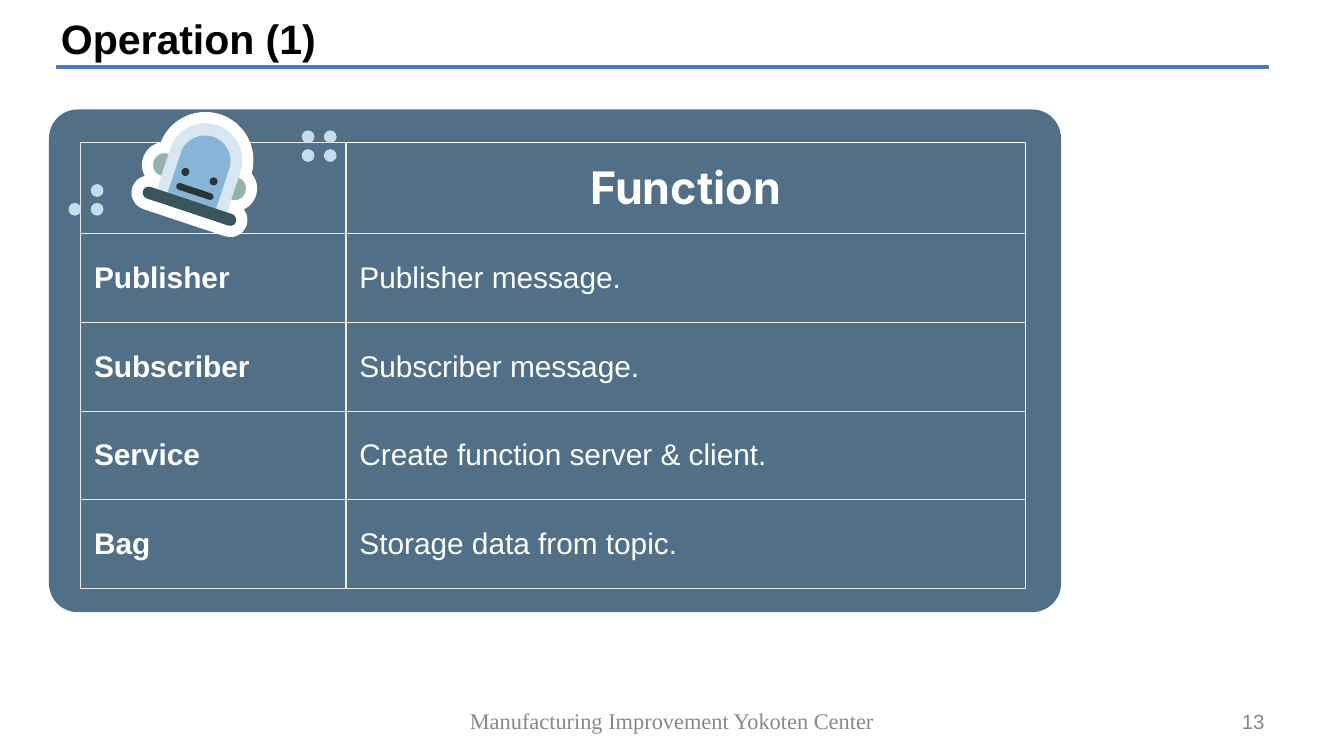
from lxml.etree import SubElement
from pptx import Presentation
from pptx.dml.color import RGBColor
from pptx.enum.shapes import MSO_CONNECTOR, MSO_SHAPE
from pptx.enum.text import MSO_ANCHOR, PP_ALIGN
from pptx.oxml.ns import qn
from pptx.util import Pt

PX = 4572  # 200 px to the inch

WHITE = RGBColor(0xFF, 0xFF, 0xFF)
BLACK = RGBColor(0x00, 0x00, 0x00)
GRAY = RGBColor(0x88, 0x88, 0x88)
RULE_BLUE = RGBColor(0x4A, 0x7D, 0xBA)
PANEL_BLUE = RGBColor(0x51, 0x6F, 0x86)
BORDER = RGBColor(0xEE, 0xEC, 0xE1)
EAR = RGBColor(0x96, 0xB1, 0xB0)
HELMET = RGBColor(0xD8, 0xE6, 0xEF)
FACE = RGBColor(0x86, 0xB5, 0xD8)
INK = RGBColor(0x2B, 0x34, 0x36)
BASE = RGBColor(0x37, 0x55, 0x5A)
DOT = RGBColor(0xC6, 0xDC, 0xEB)

presentation = Presentation()
presentation.slide_width = 2000 * PX
presentation.slide_height = 1125 * PX
slide = presentation.slides.add_slide(presentation.slide_layouts[6])
shapes = slide.shapes


def write(frame, text, size, color, font="Arial", bold=False, align=PP_ALIGN.LEFT):
    frame.word_wrap = True
    paragraph = frame.paragraphs[0]
    paragraph.alignment = align
    run = paragraph.add_run()
    run.text = text
    run.font.name = font
    run.font.size = Pt(size)
    run.font.bold = bold
    run.font.color.rgb = color


def add_filled(kind, box, color, adjustments=(), rotation=0, outline=None):
    """Add a preset shape without shadow; box is left, top, width, height in px."""
    shape = shapes.add_shape(kind, *(length * PX for length in box))
    shape.shadow.inherit = False
    shape.rotation = rotation
    for index, value in enumerate(adjustments):
        shape.adjustments[index] = value
    shape.fill.solid()
    shape.fill.fore_color.rgb = color
    if outline:
        shape.line.color.rgb = color
        shape.line.width = Pt(outline)
    else:
        shape.line.fill.background()


# Title rule
rule = shapes.add_connector(MSO_CONNECTOR.STRAIGHT, 84 * PX, 100 * PX, 1888 * PX, 100 * PX)
rule.line.color.rgb = RULE_BLUE
rule.line.width = Pt(2.25)
SubElement(rule._element.spPr, qn("a:effectLst"))

# Slide number, footer and title
text_boxes = [
    ((1434, 1043, 466, 60), (18, 8), MSO_ANCHOR.MIDDLE, "13",
     dict(size=11, color=GRAY, align=PP_ALIGN.RIGHT)),
    ((615, 1043, 770, 60), (18, 18), MSO_ANCHOR.MIDDLE, "Manufacturing Improvement Yokoten Center",
     dict(size=12, color=GRAY, font="Times New Roman", align=PP_ALIGN.CENTER)),
    ((71, 0, 964, 114), (20, 20), MSO_ANCHOR.TOP, "Operation (1)",
     dict(size=22, color=BLACK, bold=True)),
]
for box, (side, end), anchor, text, text_format in text_boxes:
    frame = shapes.add_textbox(*(length * PX for length in box)).text_frame
    frame.margin_left = frame.margin_right = side * PX
    frame.margin_top = frame.margin_bottom = end * PX
    frame.vertical_anchor = anchor
    write(frame, text, **text_format)

# Panel and function table
add_filled(MSO_SHAPE.ROUNDED_RECTANGLE, (73, 163, 1506, 748), PANEL_BLUE, [0.057])

rows = [
    ("", "Function"),
    ("Publisher", "Publisher message."),
    ("Subscriber", "Subscriber message."),
    ("Service", "Create function server & client."),
    ("Bag", "Storage data from topic."),
]
table = shapes.add_table(len(rows), 2, 120 * PX, 212 * PX, 1406 * PX, 664 * PX).table
table.first_row = table.horz_banding = False
for column, width in zip(table.columns, (395, 1011)):
    column.width = width * PX
for row_index, texts in enumerate(rows):
    table.rows[row_index].height = (132 if row_index else 136) * PX
    for column_index, text in enumerate(texts):
        cell = table.cell(row_index, column_index)
        is_header = row_index == 0
        cell.margin_left = cell.margin_right = 20 * PX
        cell.margin_top = cell.margin_bottom = (14 if column_index and row_index else 20) * PX
        cell.vertical_anchor = MSO_ANCHOR.MIDDLE
        properties = cell._tc.get_or_add_tcPr()
        for side in ("lnL", "lnR", "lnT", "lnB"):
            border = SubElement(properties, qn(f"a:{side}"), w=str(Pt(0.75)))
            white_side = is_header and column_index == 1 and side in ("lnR", "lnT")
            fill = SubElement(border, qn("a:solidFill"))
            SubElement(fill, qn("a:srgbClr"), val=str(WHITE if white_side else BORDER))
        cell.fill.background()
        if is_header and text:
            write(cell.text_frame, text, 24, WHITE, font="Inter", bold=True, align=PP_ALIGN.CENTER)
        elif text:
            write(cell.text_frame, text, 16, WHITE, bold=column_index == 0)

# Robot: a white sticker edge under the body, then the coloured parts
TILT = 18.4
DOME = (MSO_SHAPE.ROUND_2_SAME_RECTANGLE, [0.5, 0])
PILL = (MSO_SHAPE.ROUNDED_RECTANGLE, [0.5])
ROUND = (MSO_SHAPE.OVAL, [])
body_parts = [
    (ROUND, (228, 228, 32, 34), EAR),
    (ROUND, (334, 264, 32, 34), EAR),
    (DOME, (249, 183, 110, 120), HELMET),
    (PILL, (209, 298, 146, 18), BASE),
]
face_parts = [
    (DOME, (263, 201, 76, 102), FACE),
    (ROUND, (270, 250, 12, 12), INK),
    (ROUND, (312, 264, 12, 12), INK),
    (PILL, (261, 280, 58, 10), INK),
]
for (kind, adjustments), box, color in body_parts:
    add_filled(kind, box, WHITE, adjustments, TILT, outline=12)
for (kind, adjustments), box, color in body_parts[:-1] + face_parts + body_parts[-1:]:
    add_filled(kind, box, color, adjustments, TILT)

# Dot clusters; the left one lacks its upper left dot
for left, top, places in [
    (449, 194, [(0, 0), (0, 1), (1, 0), (1, 1)]),
    (102, 274, [(0, 1), (1, 0), (1, 1)]),
]:
    for column_index, row_index in places:
        add_filled(MSO_SHAPE.OVAL, (left + 33 * column_index, top + 28 * row_index, 19, 19), DOT)

presentation.save("out.pptx")
